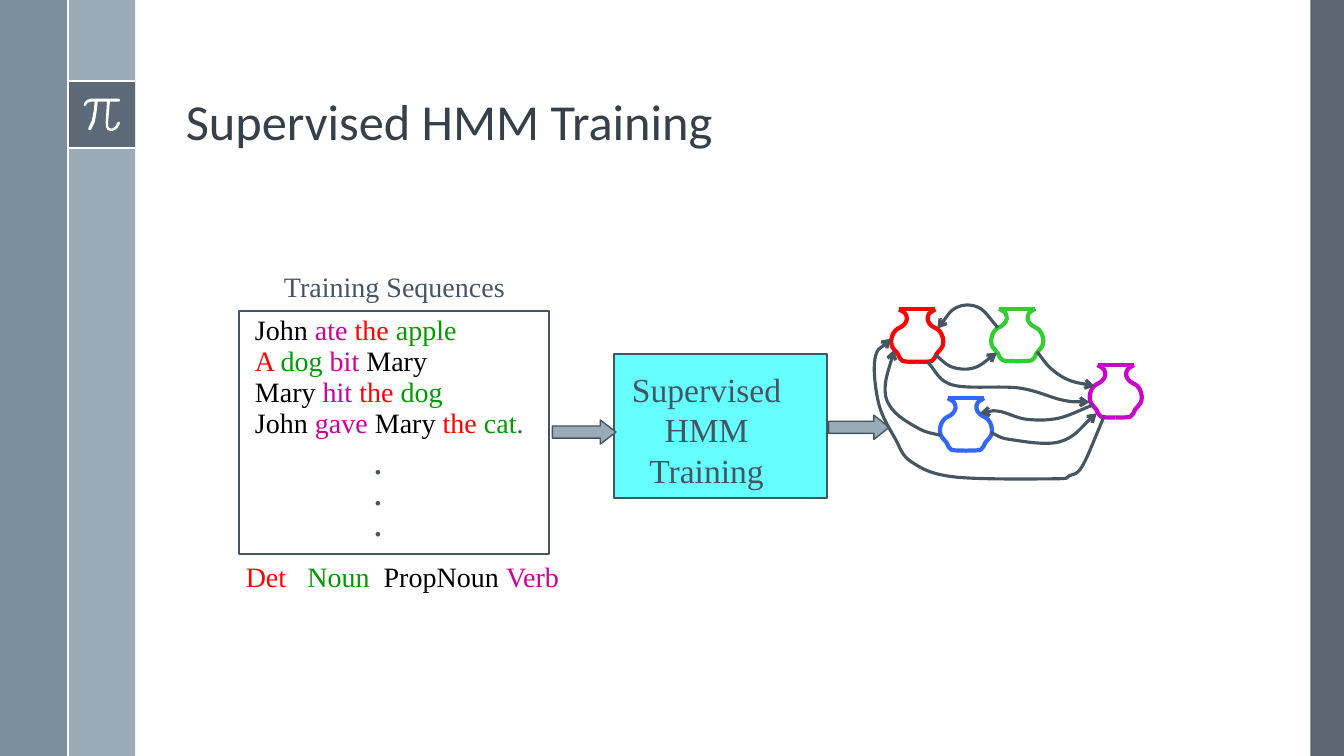
"""Build the Supervised HMM Training slide."""
from lxml.etree import SubElement
from pptx import Presentation
from pptx.dml.color import RGBColor
from pptx.enum.shapes import MSO_CONNECTOR, MSO_SHAPE
from pptx.enum.text import MSO_ANCHOR, PP_ALIGN
from pptx.oxml.ns import qn
from pptx.util import Pt

SLATE = RGBColor(0x46, 0x55, 0x62)
BAR_DARK = RGBColor(0x47, 0x55, 0x62)
BAR_BLUE = RGBColor(0x6A, 0x80, 0x93)
STEEL = RGBColor(0x9B, 0xAA, 0xB7)
TITLE_INK = RGBColor(0x35, 0x40, 0x4A)
CYAN = RGBColor(0x66, 0xFF, 0xFF)
WHITE = RGBColor(0xFF, 0xFF, 0xFF)
BLACK = RGBColor(0x00, 0x00, 0x00)
RED = RGBColor(0xFF, 0x00, 0x00)
GREEN = RGBColor(0x00, 0x99, 0x00)
MAGENTA = RGBColor(0xCC, 0x00, 0x99)
POT_BLUE = RGBColor(0x33, 0x66, 0xFF)
POT_GREEN = RGBColor(0x33, 0xCC, 0x33)
POT_PURPLE = RGBColor(0xCC, 0x00, 0xCC)

SERIF = "Times New Roman"
TITLE = "Supervised HMM Training"
SENTENCES = [
    [("John ", BLACK), ("ate ", MAGENTA), ("the ", RED), ("apple", GREEN)],
    [("A ", RED), ("dog ", GREEN), ("bit ", MAGENTA), ("Mary", BLACK)],
    [("Mary", BLACK), (" hit ", MAGENTA), ("the ", RED), ("dog", GREEN)],
    [("John ", BLACK), ("gave ", MAGENTA), ("Mary ", BLACK), ("the ", RED),
     ("cat", GREEN), (".", SLATE)],
]
LEGEND = [[("Det   ", RED), ("Noun  ", GREEN), ("PropNoun ", BLACK), ("Verb", MAGENTA)]]
CAPTION = [[("Training Sequences", SLATE)]]
TRAINER = [[(word, SLATE)] for word in ("Supervised", "HMM", "Training")]
DOTS = [[(".", SLATE)]] * 3

BARS = [
    ((936, 0, 24, 540), BAR_DARK, 90),
    ((48.5, 0, 48, 540), STEEL, 100),
    ((0, 0, 48.5, 540), BAR_BLUE, 88),
    ((48.5, 58, 48, 48), BAR_DARK, 75),
]
BAR_LINES = [(48.5, 58, 96.5, 58), (48.5, 106, 96.5, 106), (48.5, 0, 48.5, 540)]
PI_OUTLINE = [
    (85, 70.5), (65, 70.5), (62, 71.5), (60.2, 73.5), (59.8, 75), (60.4, 75.8),
    (61.2, 75.4), (62.5, 73.5), (64.8, 72.7), (67.6, 72.7), (67, 79), (65.6, 86),
    (63.2, 91.4), (63.2, 92.6), (64.2, 93.1), (65, 92.6), (67.6, 87.5), (69, 80),
    (69.8, 72.7), (76.4, 72.7), (75.5, 87.8), (75.8, 91), (77, 92.9), (79, 93.7),
    (81, 93.4), (83.4, 92), (85, 89.8), (85.7, 87.8), (85, 87), (83.8, 87.5),
    (82.6, 90.2), (80, 92), (78, 91.5), (77.2, 89.8), (77.2, 87.8), (78.5, 72.7),
    (85, 72.7), (85.8, 71.7),
]
POTS = [(690, 284.4, POT_BLUE), (726.6, 220.5, POT_GREEN),
        (655.2, 221, RED), (797, 260.8, POT_PURPLE)]
POT_SIDE = [(13, 0), (8.5, 3), (7.5, 7.5), (10, 11.5), (15.5, 15),
            (18.2, 20), (18.2, 26), (13.7, 32), (10.5, 36.8), (0, 37.5)]
TRANSITIONS = [
    [(668.2, 253.4), (679.7, 262.1), (695.5, 262.8), (712.1, 252)],
    [(740.9, 251.3), (750.2, 262.8), (763.2, 271.4), (781.9, 275.8)],
    [(712.8, 234), (699.1, 219.6), (683.3, 219.6), (669.6, 234.7)],
    [(662.4, 258.5), (680.4, 275), (727.9, 277.2), (758.9, 285.8), (778.3, 287.3)],
    [(707.8, 308.9), (721.4, 313.9), (757.4, 315.4), (783.4, 295.2)],
    [(671.8, 311), (657.4, 306.7), (638.6, 293.8), (632.2, 277.9), (638.6, 249.8)],
    [(788.4, 298.1), (773.3, 332.6), (763.9, 339.8), (752.4, 342), (681.1, 340.6),
     (650.9, 329.8), (639.4, 313.2), (627.8, 288.7), (625, 256.3), (636.5, 241.9)],
    [(780.5, 289.4), (756, 298.8), (733, 299.5), (713.5, 293.8), (699.8, 295.2)],
]


def paint(sp, fill=None, line=None, width=1.5):
    sp.shadow.inherit = False
    if fill is None:
        sp.fill.background()
    else:
        sp.fill.solid()
        sp.fill.fore_color.rgb = fill
    if line is None:
        sp.line.fill.background()
    else:
        sp.line.color.rgb = line
        sp.line.width = Pt(width)


def add_block(s, kind, box, fill=None, line=None, width=1.5):
    sp = s.shapes.add_shape(kind, *map(Pt, box))
    paint(sp, fill, line, width)
    return sp


def add_line(s, ends, color, width):
    cx = s.shapes.add_connector(MSO_CONNECTOR.STRAIGHT, *map(Pt, ends))
    cx.line.color.rgb = color
    cx.line.width = Pt(width)
    SubElement(cx.element.spPr, qn("a:effectLst"))


def add_outline(s, points, close=False):
    knots = [(Pt(x), Pt(y)) for x, y in points]
    fb = s.shapes.build_freeform(*knots[0])
    fb.add_line_segments(knots[1:], close=close)
    return fb.convert_to_shape()


def bend(sp):
    """Turn the straight segments of a freeform into one smooth curve."""
    path = next(sp.element.iter(qn("a:path")))
    knots = [(int(pt.get("x")), int(pt.get("y"))) for pt in path.iter(qn("a:pt"))]
    (ax, ay), (bx, by) = knots[:2]
    (yx, yy), (zx, zy) = knots[-2:]
    k = [(2 * ax - bx, 2 * ay - by), *knots, (2 * zx - yx, 2 * zy - yy)]
    for seg in path.findall(qn("a:lnTo")):
        path.remove(seg)
    for before, start, end, after in zip(k, k[1:], k[2:], k[3:]):
        first = [a + (b - c) / 6 for a, b, c in zip(start, end, before)]
        second = [a - (b - c) / 6 for a, b, c in zip(end, after, start)]
        curve = SubElement(path, qn("a:cubicBezTo"))
        for x, y in (first, second, end):
            SubElement(curve, qn("a:pt"), x=str(round(x)), y=str(round(y)))


def add_curve(s, points, color, width, arrow=False):
    sp = add_outline(s, points)
    bend(sp)
    paint(sp, None, color, width)
    if arrow:
        SubElement(sp.line._get_or_add_ln(), qn("a:tailEnd"), type="arrow")


def add_text(s, box, lines, size, align=PP_ALIGN.CENTER, wrap=False, spacing=None, before=0):
    tf = s.shapes.add_textbox(*map(Pt, box)).text_frame
    tf.word_wrap = wrap
    for i, line in enumerate(lines):
        p = tf.add_paragraph() if i else tf.paragraphs[0]
        p.alignment = align
        p.line_spacing = spacing
        p.space_before = Pt(before)
        for text, color in line:
            r = p.add_run()
            r.text = text
            r.font.name = SERIF
            r.font.size = Pt(size)
            r.font.color.rgb = color


def add_frame(s):
    for box, color, opacity in BARS:
        sp = add_block(s, MSO_SHAPE.RECTANGLE, box, color)
        if opacity < 100:
            clr = next(sp.element.spPr.iter(qn("a:srgbClr")))
            SubElement(clr, qn("a:alpha"), val=str(opacity * 1000))
    for ends in BAR_LINES:
        add_line(s, ends, WHITE, 1.5)
    paint(add_outline(s, PI_OUTLINE, close=True), WHITE)


def add_title(s):
    title = s.shapes.title
    title.left, title.top, title.width, title.height = map(Pt, (125.5, 13.7, 770.4, 97.9))
    tf = title.text_frame
    tf.text = TITLE
    tf.word_wrap = True
    tf.vertical_anchor = MSO_ANCHOR.BOTTOM
    p = tf.paragraphs[0]
    p.alignment = PP_ALIGN.LEFT
    p.line_spacing = 0.9
    font = p.runs[0].font
    font.name, font.size, font.color.rgb = "Calibri", Pt(36), TITLE_INK


def main():
    prs = Presentation()
    prs.slide_width, prs.slide_height = Pt(960), Pt(540)
    s = prs.slides.add_slide(prs.slide_layouts[5])
    add_frame(s)
    add_title(s)

    add_block(s, MSO_SHAPE.RECTANGLE, (438.6, 252.7, 152, 103), CYAN, SLATE)
    add_text(s, (442.2, 260, 125, 93.6), TRAINER, 24)
    for box, head in (((394.6, 300, 45.4, 17.3), 0.65), ((592, 296.6, 43.2, 17.3), 0.63)):
        sp = add_block(s, MSO_SHAPE.RIGHT_ARROW, box, STEEL, SLATE, 1)
        sp.adjustments[1] = head

    for cx, top, color in POTS:
        for side in (-1, 1):
            add_curve(s, [(cx + side * x, top + y) for x, y in POT_SIDE], color, 3)
        rim = POT_SIDE[0][0]
        add_line(s, (cx - rim, top, cx + rim, top), color, 3)
    for points in TRANSITIONS:
        add_curve(s, points, SLATE, 2.25, arrow=True)

    add_text(s, (175, 230.4, 219.6, 199.4), SENTENCES, 20, PP_ALIGN.LEFT, True, 0.5, 10)
    add_text(s, (259.2, 318.2, 21.6, 72.7), DOTS, 28, spacing=0.65)
    add_block(s, MSO_SHAPE.RECTANGLE, (170.6, 222.2, 221.4, 173.5), None, SLATE)
    add_text(s, (191.8, 189, 180, 31), CAPTION, 20)
    add_text(s, (168.5, 396, 244.8, 31), LEGEND, 20, PP_ALIGN.LEFT)
    prs.save("out.pptx")


if __name__ == "__main__":
    main()
